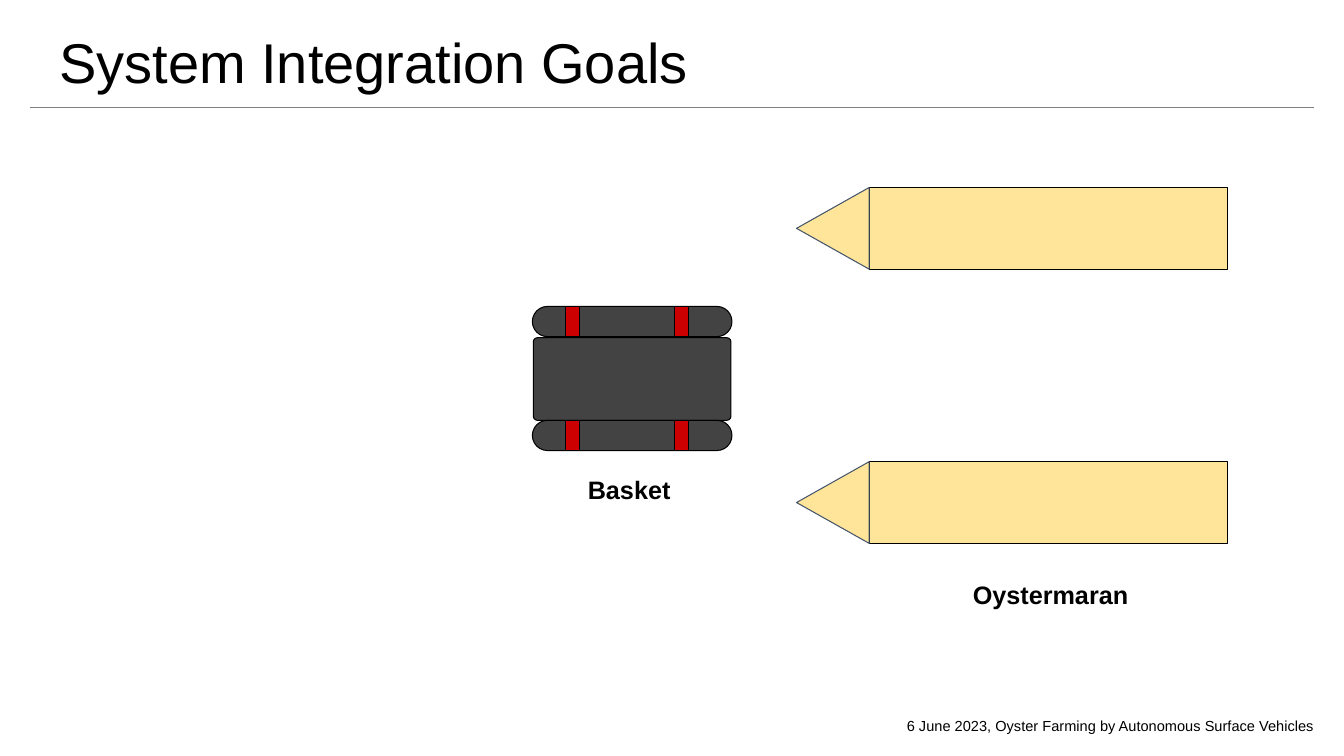
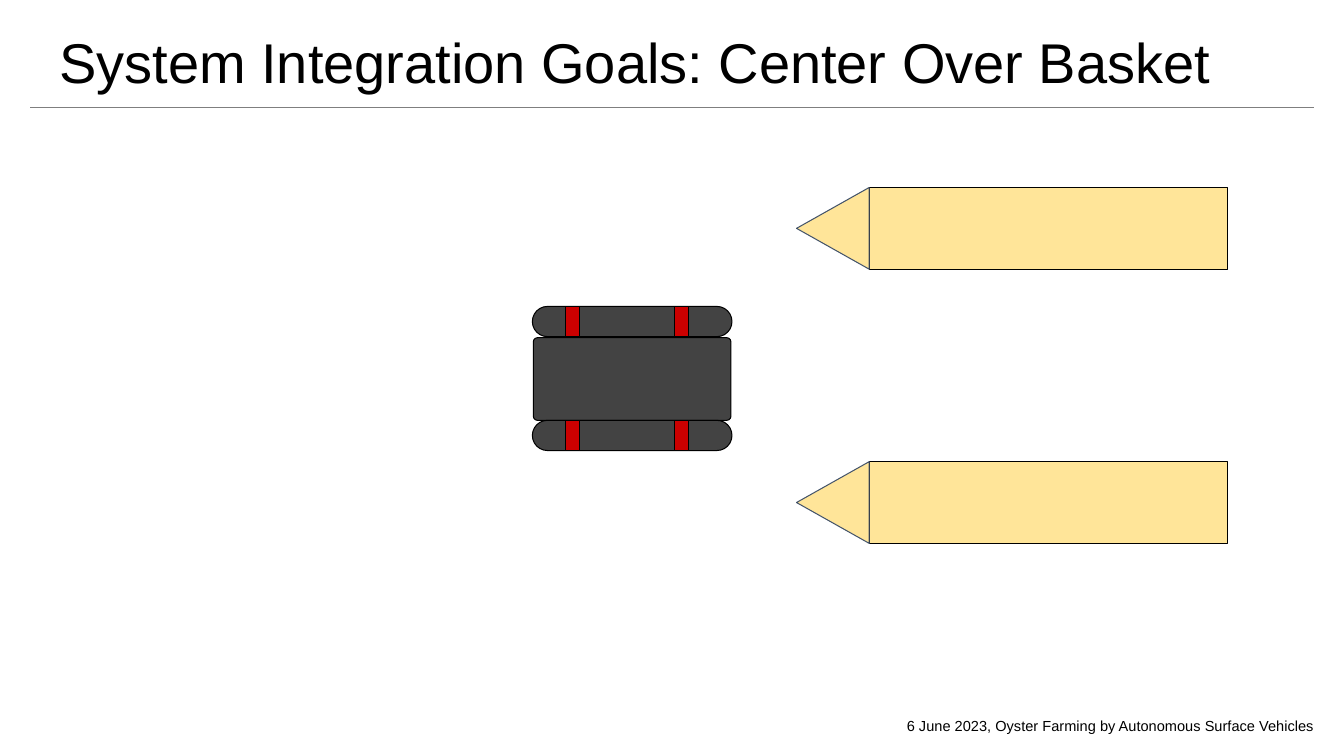
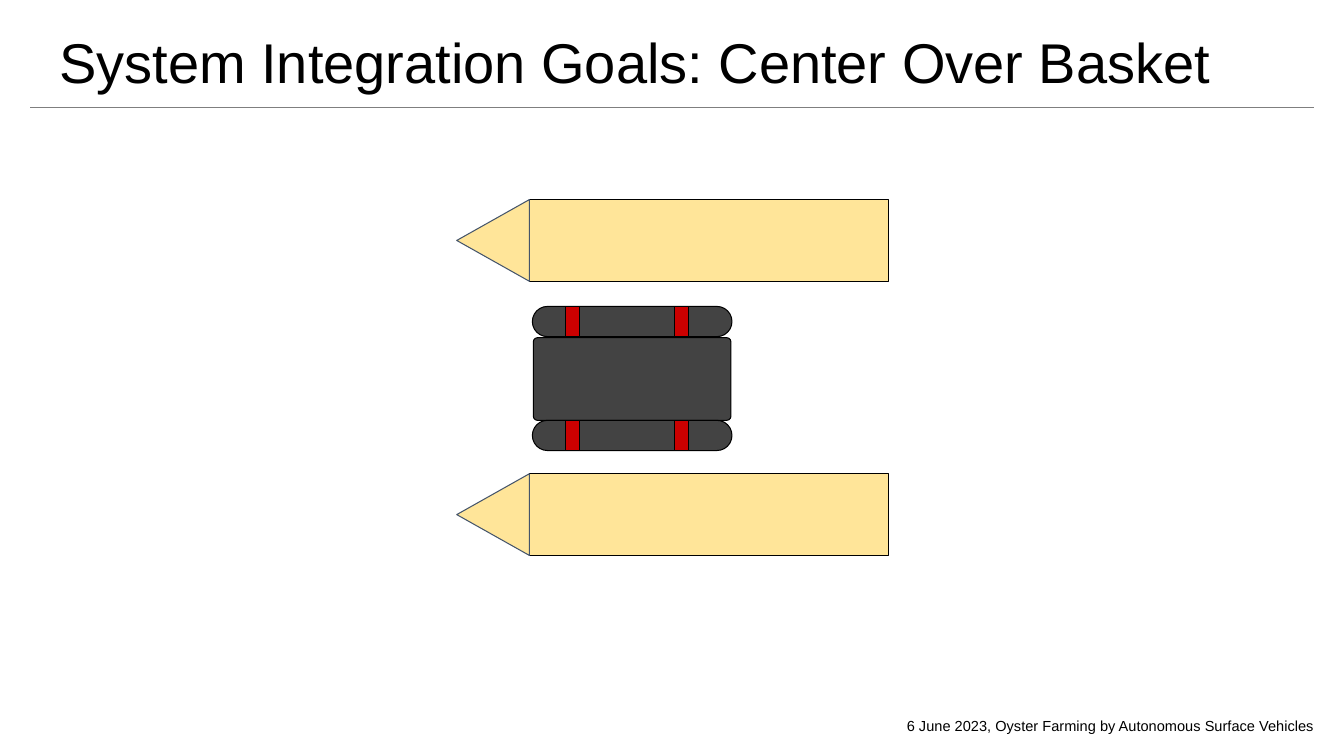
from pptx import Presentation
from pptx.dml.color import RGBColor
from pptx.enum.shapes import MSO_CONNECTOR, MSO_SHAPE as Preset
from pptx.enum.text import MSO_ANCHOR as Anchor, PP_ALIGN as Align
from pptx.oxml.ns import qn
from pptx.util import Inches, Pt
from lxml import etree

# Content: title, left and top of the vehicle, labels (text, left, top)
FOOTER = "6 June 2023, Oyster Farming by Autonomous Surface Vehicles"
LABELS = [("Oystermaran", 9, 5.65), ("Basket", 4.82, 4.61)]
CENTER_TITLE = "System Integration Goals: Center Over Basket"
SLIDES = [
    ("System Integration Goals", (7.9, 1.86), LABELS),
    (CENTER_TITLE, (7.9, 1.86), []),
    (CENTER_TITLE, (4.53, 1.98), []),
]

# Shared style
FONT = "Arial"
BLACK, RULE, SLATE = "000000", "7F7F7F", "44546A"
SAND, CHARCOAL, RED = "FFE599", "434343", "CC0000"
LINE_WIDTH = Pt(0.75)

# Vehicle: two hulls, each a bow and a bar
BOW_LENGTH, BAR_LENGTH, HULL_WIDTH, HULL_PITCH = 0.72, 3.56, 0.81, 2.72

# Basket: a body between two floats with straps
BASKET_LEFT, BASKET_TOP = 5.28, 3.04
FLOAT_WIDTH, FLOAT_HEIGHT, FLOAT_PITCH = 1.98, 0.3, 1.13
BODY_HEIGHT, BODY_INSET = 0.82, 0.01
STRAP_WIDTH, STRAP_OFFSETS = 0.14, (0.33, 1.41)


def color(value):
    return RGBColor.from_string(value)


def add_text(page, text, left, top, width, height, size, align=Align.LEFT,
             anchor=Anchor.TOP, bold=False, inset=0.05):
    frame = page.shapes.add_textbox(
        Inches(left), Inches(top), Inches(width), Inches(height)).text_frame
    frame.word_wrap = True
    frame.vertical_anchor = anchor
    frame.margin_top = frame.margin_bottom = Inches(inset)
    para = frame.paragraphs[0]
    para.text = text
    para.alignment = align
    font = para.font
    font.name, font.size, font.bold = FONT, Pt(size), bold
    font.color.rgb = color(BLACK)
    return para


def add_part(group, preset, left, top, width, height, fill, line=BLACK,
             corner=None):
    part = group.shapes.add_shape(
        preset, Inches(left), Inches(top), Inches(width), Inches(height))
    part.shadow.inherit = False
    part.fill.solid()
    part.fill.fore_color.rgb = color(fill)
    part.line.color.rgb = color(line)
    part.line.width = LINE_WIDTH
    if corner is not None:
        part.adjustments[0] = corner
    return part


def add_frame(page, title):
    # Title, rule and footer
    para = add_text(page, title, 0.49, 0.18, 12.48, 0.82, 40,
                    anchor=Anchor.BOTTOM)
    para.line_spacing = 0.9
    rule = page.shapes.add_connector(
        MSO_CONNECTOR.STRAIGHT, Inches(0.3), Inches(1.07),
        Inches(13.03), Inches(1.07))
    rule.line.color.rgb = color(RULE)
    rule.line.width = LINE_WIDTH
    etree.SubElement(rule._element.spPr, qn("a:effectLst"))
    footer = add_text(page, FOOTER, 7.15, 7.03, 5.98, 0.3, 18, Align.RIGHT)
    # Raised text
    footer.runs[0]._r.get_or_add_rPr().set("baseline", "30000")


def add_vehicle(page, left, top):
    group = page.shapes.add_group_shape()
    # The bow is a triangle turned about its centre to point left
    turn = (HULL_WIDTH - BOW_LENGTH) / 2
    for hull_top in (top, top + HULL_PITCH):
        add_part(group, Preset.RECTANGLE, left + BOW_LENGTH, hull_top,
                 BAR_LENGTH, HULL_WIDTH, SAND)
        bow = add_part(group, Preset.ISOSCELES_TRIANGLE, left - turn,
                       hull_top + turn, HULL_WIDTH, BOW_LENGTH, SAND, SLATE)
        bow.rotation = 270


def add_basket(page):
    group = page.shapes.add_group_shape()
    add_part(group, Preset.ROUNDED_RECTANGLE, BASKET_LEFT + BODY_INSET,
             BASKET_TOP + FLOAT_PITCH - BODY_HEIGHT,
             FLOAT_WIDTH - 2 * BODY_INSET, BODY_HEIGHT, CHARCOAL, corner=0.05)
    for top in (BASKET_TOP, BASKET_TOP + FLOAT_PITCH):
        add_part(group, Preset.ROUNDED_RECTANGLE, BASKET_LEFT, top,
                 FLOAT_WIDTH, FLOAT_HEIGHT, CHARCOAL, corner=0.5)
        for offset in STRAP_OFFSETS:
            add_part(group, Preset.RECTANGLE, BASKET_LEFT + offset, top,
                     STRAP_WIDTH, FLOAT_HEIGHT, RED)


def main():
    deck = Presentation()
    deck.slide_width, deck.slide_height = Inches(13.33), Inches(7.5)
    for title, vehicle_place, labels in SLIDES:
        page = deck.slides.add_slide(deck.slide_layouts[6])
        add_frame(page, title)
        add_vehicle(page, *vehicle_place)
        add_basket(page)
        for text, left, top in labels:
            add_text(page, text, left, top, 2.84, 0.5, 18, Align.CENTER,
                     bold=True, inset=0.1)
    deck.save("out.pptx")


if __name__ == "__main__":
    main()
